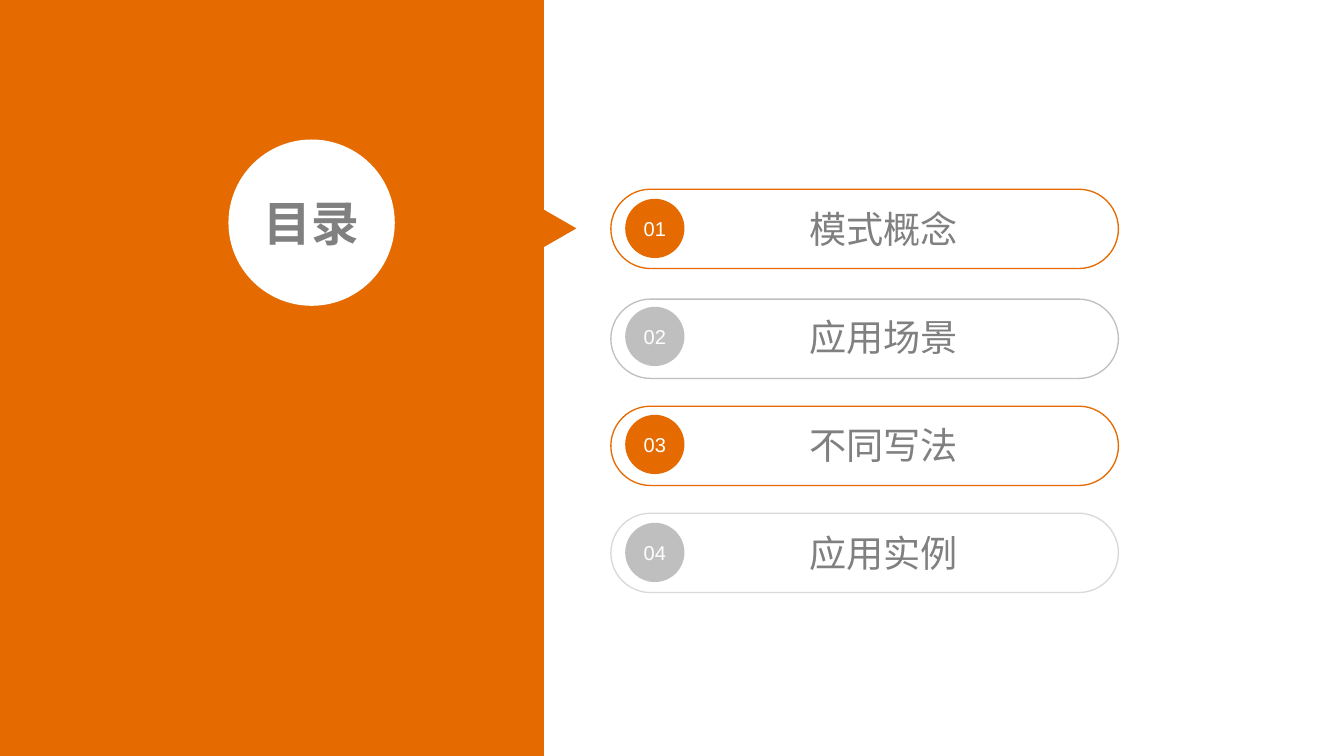
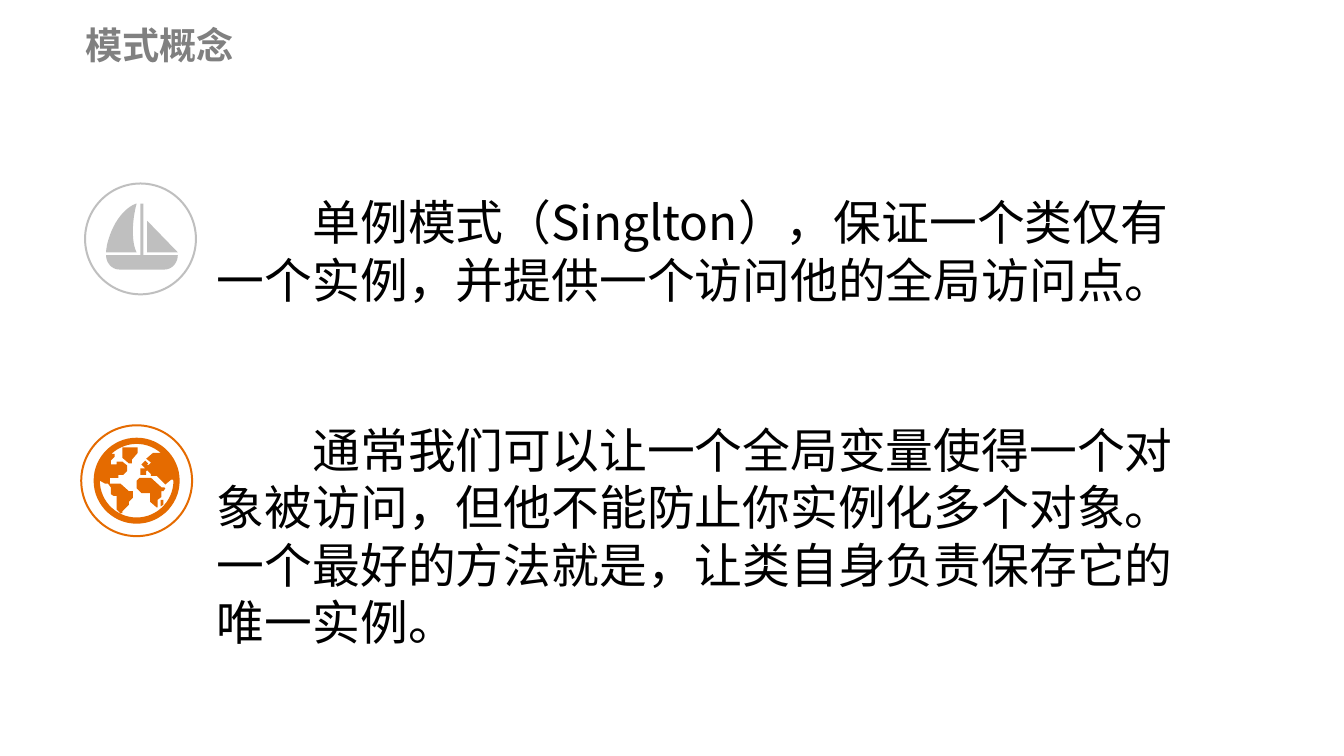
from math import cos, radians, sin

from lxml.etree import SubElement
from pptx import Presentation
from pptx.dml.color import RGBColor
from pptx.enum.shapes import MSO_SHAPE
from pptx.enum.text import MSO_ANCHOR, MSO_AUTO_SIZE, PP_ALIGN
from pptx.oxml.ns import qn
from pptx.util import Inches, Pt

ORANGE = RGBColor(0xE5, 0x6B, 0x00)
WHITE = RGBColor(0xFF, 0xFF, 0xFF)
BLACK = RGBColor(0x00, 0x00, 0x00)
TEXT_GRAY = RGBColor(0x80, 0x80, 0x80)
MID_GRAY = RGBColor(0xBF, 0xBF, 0xBF)
LIGHT_GRAY = RGBColor(0xD9, 0xD9, 0xD9)

LATIN_FONT = "Arial"
CHINESE_FONT = "Noto Sans CJK JP"
TITLE_ONLY = 5
ROW_PITCH = 1.13
ICON_SIZE = 1.16
GLOBE_CENTER = 58


def write(box, text, size, color, font=LATIN_FONT, bold=False, align=PP_ALIGN.CENTER,
          anchor=MSO_ANCHOR.MIDDLE, insets=(0, 0, 0, 0), indent=0, line_spacing=None):
    frame = box.text_frame
    frame.word_wrap = True
    frame.auto_size = MSO_AUTO_SIZE.NONE
    frame.vertical_anchor = anchor
    (frame.margin_left, frame.margin_top,
     frame.margin_right, frame.margin_bottom) = [Inches(inset) for inset in insets]
    para = frame.paragraphs[0]
    para.alignment = align
    if line_spacing:
        para.line_spacing = Pt(line_spacing)
    if indent:
        para._p.get_or_add_pPr().set("indent", str(Inches(indent)))
    span = para.add_run()
    span.text = text
    span.font.size = Pt(size)
    span.font.bold = bold
    span.font.name = font
    span.font.color.rgb = color
    SubElement(span.font._element, qn("a:ea")).set("typeface", CHINESE_FONT)


def paint(shape, fill=None, line=None, line_width=1):
    shape.shadow.inherit = False
    if fill is None:
        shape.fill.background()
    else:
        shape.fill.solid()
        shape.fill.fore_color.rgb = fill
    if line is None:
        shape.line.fill.background()
    else:
        shape.line.color.rgb = line
        shape.line.width = Pt(line_width)


def add_block(page, kind, left, top, width, height, **style):
    shape = page.shapes.add_shape(kind, Inches(left), Inches(top), Inches(width), Inches(height))
    paint(shape, **style)
    return shape


def add_label(page, left, top, width, height, text, **style):
    box = page.shapes.add_textbox(Inches(left), Inches(top), Inches(width), Inches(height))
    write(box, text, **style)


def place_title(page, left, top, width, height, text, **style):
    title = page.shapes.title
    title.left, title.top = Inches(left), Inches(top)
    title.width, title.height = Inches(width), Inches(height)
    title.element.getparent().append(title.element)
    write(title, text, color=TEXT_GRAY, bold=True, **style)


def curve(start, first, second, end, steps=12):
    points = []
    for step in range(steps + 1):
        t = step / steps
        weights = ((1 - t) ** 3, 3 * t * (1 - t) ** 2, 3 * t ** 2 * (1 - t), t ** 3)
        points.append(tuple(sum(weight * point[axis] for weight, point
                                in zip(weights, (start, first, second, end)))
                            for axis in (0, 1)))
    return points


def arc(radius, start, end):
    steps = max(6, (end - start) // 6)
    angles = [radians(start + (end - start) * step / steps) for step in range(steps + 1)]
    return [(GLOBE_CENTER + radius * cos(angle), GLOBE_CENTER + radius * sin(angle))
            for angle in angles]


def sailboat_contours():
    jib = (curve((50, 50), (50, 34), (54, 21), (54, 21))
           + curve((54, 21), (54, 21), (43, 23), (32, 41))
           + curve((32, 41), (22, 59), (22, 72), (22, 72))
           + curve((54, 72), (54, 72), (50, 66), (50, 50)))
    mainsail = [(65, 39), (65, 72), (97, 72)]
    hull = ([(61, 75), (61, 21), (58, 21), (58, 75)]
            + curve((22, 75), (22, 83), (28, 90), (36, 90))
            + curve((83, 90), (91, 90), (97, 83), (97, 75)))
    return [jib, mainsail, hull]


def globe_contours():
    americas = [(25, 61), (28, 61), (31, 65), (31, 72), (34, 74), (37, 74), (37, 88),
                (41, 92), (43, 92), (43, 90), (50, 83), (50, 80), (54, 76), (54, 69),
                (50, 69), (41, 61), (30, 61), (30, 55), (39, 55), (39, 52), (44, 52),
                (48, 48), (48, 42), (43, 38), (37, 38), (37, 41), (31, 41), (31, 37),
                (35, 33), (35, 30), (31, 30)]
    eurasia = [(75, 29), (68, 35), (73, 39), (70, 42), (69, 41), (70, 40), (69, 39),
               (67, 37), (63, 41), (67, 45), (62, 45), (62, 52), (68, 52), (68, 48),
               (69, 47), (73, 51), (73, 53), (79, 53), (88, 62), (94, 57), (96, 57)]
    sea = arc(38.5, 90, 180) + americas + arc(38.5, 226, 311) + eurasia + arc(38.5, 0, 90)
    greenland = [(59, 23), (43, 23), (43, 34), (50, 40), (53, 40), (53, 36), (59, 29)]
    africa = [(84, 65), (73, 55), (61, 55), (58, 58), (58, 66), (63, 71), (72, 71),
              (72, 80), (79, 86), (80, 86), (80, 78), (84, 75), (84, 69), (86, 69),
              (88, 66), (87, 65)]
    madagascar = [(83, 85), (86, 83), (86, 78), (83, 78)]
    return [arc(45, 0, 360), sea, greenland, africa, madagascar]


def add_icon(page, left, top, contours, color):
    add_block(page, MSO_SHAPE.OVAL, left, top, ICON_SIZE, ICON_SIZE, line=color, line_width=1.5)
    placed = [[(Inches(left + x / 100), Inches(top + y / 100)) for x, y in contour]
              for contour in contours]
    builder = page.shapes.build_freeform(*placed[0][0], scale=1.0)
    builder.add_line_segments(placed[0][1:], close=True)
    for contour in placed[1:]:
        builder.move_to(*contour[0])
        builder.add_line_segments(contour[1:], close=True)
    paint(builder.convert_to_shape(), fill=color)


def add_contents_panel(page, width, height):
    pointer = add_block(page, MSO_SHAPE.ISOSCELES_TRIANGLE, width - 0.09, 2.19, 0.46, 0.4,
                        fill=ORANGE)
    pointer.rotation = 90
    add_block(page, MSO_SHAPE.RECTANGLE, 0, 0, width, height, fill=ORANGE)
    circle = (2.39, 1.46, 1.74, 1.74)
    add_block(page, MSO_SHAPE.OVAL, *circle, fill=WHITE)
    place_title(page, *circle, "目录", size=36)


def add_contents_row(page, left, pill_top, badge_top, number, text, outline, badge_color):
    pill = add_block(page, MSO_SHAPE.ROUNDED_RECTANGLE, left, pill_top, 5.31, 0.83, line=outline)
    pill.adjustments[0] = 0.5
    badge = add_block(page, MSO_SHAPE.OVAL, left + 0.15, badge_top, 0.62, 0.62, fill=badge_color)
    write(badge, number, size=15.1, color=WHITE, insets=(0.08, 0.04, 0.08, 0.04))
    add_label(page, left + 1.5, badge_top + 0.08, 2.7, 0.47, text, size=28, color=TEXT_GRAY)


def add_concept(page, icon_left, icon_top, text_top, text_height, contours, color, text):
    add_icon(page, icon_left, icon_top, contours, color)
    add_label(page, 2.17, text_top, 10.29, text_height, text, size=36, color=BLACK,
              font=CHINESE_FONT, align=PP_ALIGN.LEFT, anchor=MSO_ANCHOR.TOP,
              insets=(0.1, 0.1, 0.1, 0.05), indent=1, line_spacing=43.2)


def build_contents(deck):
    page = deck.slides.add_slide(deck.slide_layouts[TITLE_ONLY])
    add_contents_panel(page, 5.69, 7.91)
    rows = [
        ("模式概念", 1.98, ORANGE, ORANGE),
        ("应用场景", 3.13, MID_GRAY, MID_GRAY),
        ("不同写法", 4.25, ORANGE, ORANGE),
        ("应用实例", 5.37, LIGHT_GRAY, MID_GRAY),
    ]
    for index, (text, pill_top, outline, badge_color) in enumerate(rows):
        add_contents_row(page, 6.39, pill_top, 2.08 + index * ROW_PITCH, f"{index + 1:02d}",
                         text, outline, badge_color)


def build_concepts(deck):
    page = deck.slides.add_slide(deck.slide_layouts[TITLE_ONLY])
    place_title(page, 0.89, 0.23, 2.53, 0.47, "模式概念", size=28, align=PP_ALIGN.LEFT)
    add_concept(page, 0.89, 1.92, 1.92, 1.95, sailboat_contours(), MID_GRAY,
                "单例模式（Singlton），保证一个类仅有一个实例，并提供一个访问他的全局访问点。")
    add_concept(page, 0.85, 4.45, 4.3, 2.52, globe_contours(), ORANGE,
                "通常我们可以让一个全局变量使得一个对象被访问，但他不能防止你实例化多个对象。"
                "一个最好的方法就是，让类自身负责保存它的唯一实例。")


def main():
    deck = Presentation()
    deck.slide_width, deck.slide_height = Inches(14.06), Inches(7.91)
    build_contents(deck)
    build_concepts(deck)
    deck.save("out.pptx")


if __name__ == "__main__":
    main()
